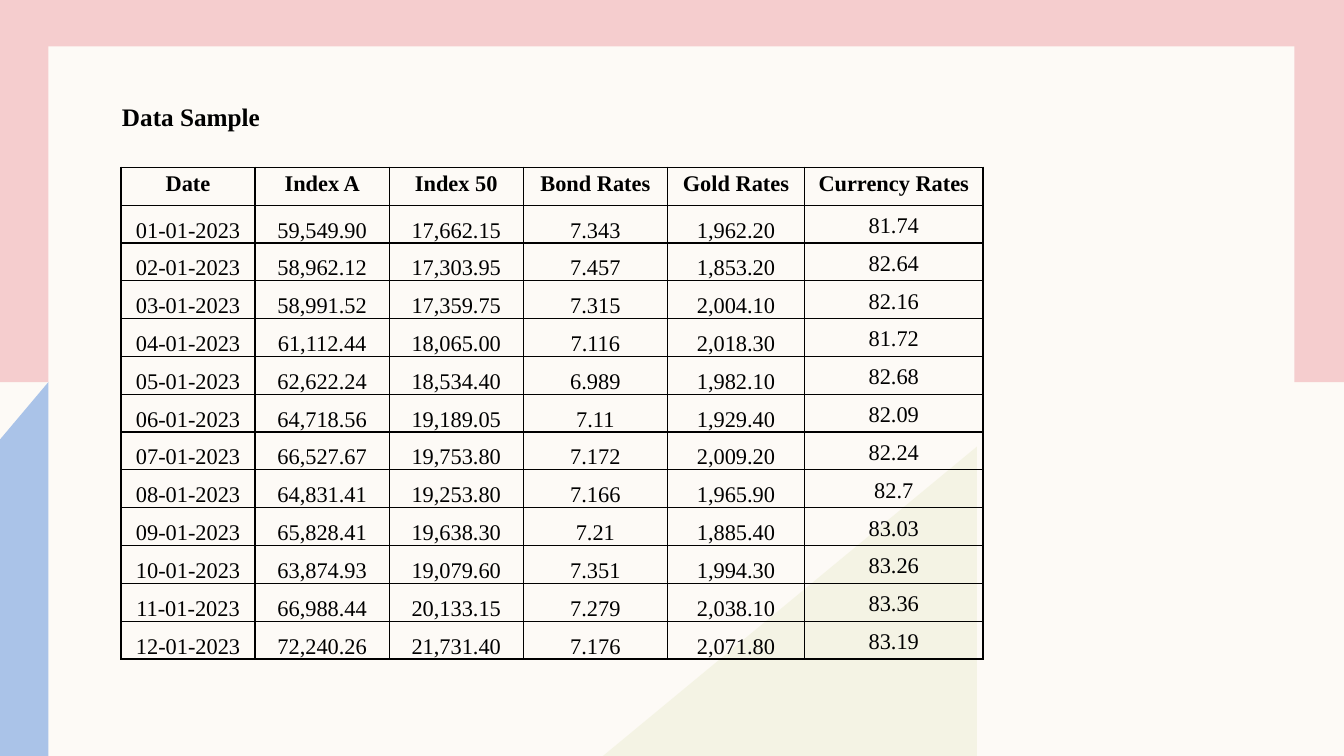
from dataclasses import dataclass

from lxml.etree import SubElement
from pptx import Presentation
from pptx.dml.color import RGBColor
from pptx.enum.shapes import MSO_SHAPE
from pptx.enum.text import MSO_ANCHOR, MSO_AUTO_SIZE, PP_ALIGN
from pptx.oxml.ns import qn
from pptx.util import Inches, Pt

TITLE = "Data Sample"
HEADERS = ("Date", "Index A", "Index 50", "Bond Rates", "Gold Rates", "Currency Rates")
ROWS = [
    ("01-01-2023", "59,549.90", "17,662.15", "7.343", "1,962.20", "81.74"),
    ("02-01-2023", "58,962.12", "17,303.95", "7.457", "1,853.20", "82.64"),
    ("03-01-2023", "58,991.52", "17,359.75", "7.315", "2,004.10", "82.16"),
    ("04-01-2023", "61,112.44", "18,065.00", "7.116", "2,018.30", "81.72"),
    ("05-01-2023", "62,622.24", "18,534.40", "6.989", "1,982.10", "82.68"),
    ("06-01-2023", "64,718.56", "19,189.05", "7.11", "1,929.40", "82.09"),
    ("07-01-2023", "66,527.67", "19,753.80", "7.172", "2,009.20", "82.24"),
    ("08-01-2023", "64,831.41", "19,253.80", "7.166", "1,965.90", "82.7"),
    ("09-01-2023", "65,828.41", "19,638.30", "7.21", "1,885.40", "83.03"),
    ("10-01-2023", "63,874.93", "19,079.60", "7.351", "1,994.30", "83.26"),
    ("11-01-2023", "66,988.44", "20,133.15", "7.279", "2,038.10", "83.36"),
    ("12-01-2023", "72,240.26", "21,731.40", "7.176", "2,071.80", "83.19"),
]

WIDTH, HEIGHT = 13.33, 7.5
BAND_BOTTOM = 3.79
PANEL = (0.48, 0.46, 12.36, 6.59)
TITLE_BOX = (1.11, 0.96, 2.14, 0.4)
TABLE_BOX = (1.2, 1.66, 8.56, 4.88)
COLUMN_WIDTHS = (1.33, 1.33, 1.33, 1.43, 1.36, 1.77)
GREEN_TRIANGLE = [(5.98, HEIGHT), (9.69, 4.43), (9.69, HEIGHT)]
BLUE_WEDGE = [(PANEL[0], BAND_BOTTOM), (PANEL[0], HEIGHT), (0, HEIGHT), (0, 4.36)]


@dataclass(frozen=True)
class Theme:
    font: str = "Times New Roman"
    ink: str = "000000"
    cream: str = "FDFAF6"
    pink: str = "F5CDCE"
    green: str = "EDEED3"
    blue: str = "AAC3E8"
    title_size: int = 18
    cell_size: int = 16
    border: int = 1


THEME = Theme()


def box(lengths):
    return [Inches(v) for v in lengths]


def paint(sp, color, alpha=None):
    sp.shadow.inherit = False
    sp.fill.solid()
    sp.fill.fore_color.rgb = RGBColor.from_string(color)
    sp.line.fill.background()
    if alpha is not None:
        clr = sp.element.spPr.find(qn("a:solidFill")).find(qn("a:srgbClr"))
        SubElement(clr, qn("a:alpha"), val=str(alpha * 1000))


def add_rect(s, lengths, color):
    paint(s.shapes.add_shape(MSO_SHAPE.RECTANGLE, *box(lengths)), color)


def add_polygon(s, points, color, alpha=None):
    start, *rest = [box(point) for point in points]
    builder = s.shapes.build_freeform(*start)
    builder.add_line_segments(rest, close=True)
    paint(builder.convert_to_shape(), color, alpha)


def add_run(p, text, size, bold):
    r = p.add_run()
    r.text = text
    r.font.name = THEME.font
    r.font.size = Pt(size)
    r.font.bold = bold
    r.font.color.rgb = RGBColor.from_string(THEME.ink)


def place_title(s):
    title = s.shapes.title
    title.left, title.top, title.width, title.height = box(TITLE_BOX)
    tf = title.text_frame
    tf.word_wrap = True
    tf.auto_size = MSO_AUTO_SIZE.SHAPE_TO_FIT_TEXT
    tf.vertical_anchor = MSO_ANCHOR.TOP
    p = tf.paragraphs[0]
    p.alignment = PP_ALIGN.LEFT
    add_run(p, TITLE, THEME.title_size, True)
    title.element.getparent().append(title.element)


def add_borders(cell):
    tc_pr = cell._tc.get_or_add_tcPr()
    for side in ("lnL", "lnR", "lnT", "lnB"):
        ln = SubElement(tc_pr, qn(f"a:{side}"), w=str(Pt(THEME.border)))
        fill = SubElement(ln, qn("a:solidFill"))
        SubElement(fill, qn("a:srgbClr"), val=THEME.ink)


def fill_cell(cell, text, anchor, bold):
    add_borders(cell)
    cell.fill.background()
    cell.margin_left = cell.margin_right = Inches(0.07)
    cell.margin_top = cell.margin_bottom = 0
    cell.vertical_anchor = anchor
    p = cell.text_frame.paragraphs[0]
    p.alignment = PP_ALIGN.CENTER
    p.line_spacing = 1.15
    p.space_after = Pt(8)
    add_run(p, text, THEME.cell_size, bold)


def add_rates_table(s):
    data = [HEADERS, *ROWS]
    table = s.shapes.add_table(len(data), len(HEADERS), *box(TABLE_BOX)).table
    table.first_row = table.horz_banding = False
    for column, width in zip(table.columns, COLUMN_WIDTHS):
        column.width = Inches(width)
    for i, values in enumerate(data):
        table.rows[i].height = Inches(TABLE_BOX[3] / len(data))
        for j, text in enumerate(values):
            if i == 0:
                anchor = MSO_ANCHOR.TOP
            elif j == len(HEADERS) - 1:
                anchor = MSO_ANCHOR.MIDDLE
            else:
                anchor = MSO_ANCHOR.BOTTOM
            fill_cell(table.cell(i, j), text, anchor, i == 0)


def main():
    prs = Presentation()
    prs.slide_width, prs.slide_height = box((WIDTH, HEIGHT))
    s = prs.slides.add_slide(prs.slide_layouts[5])
    s.background.fill.solid()
    s.background.fill.fore_color.rgb = RGBColor.from_string(THEME.cream)
    add_rect(s, (0, 0, WIDTH, BAND_BOTTOM), THEME.pink)
    add_rect(s, PANEL, THEME.cream)
    add_polygon(s, GREEN_TRIANGLE, THEME.green, 50)
    add_polygon(s, BLUE_WEDGE, THEME.blue)
    place_title(s)
    add_rates_table(s)
    prs.save("out.pptx")


if __name__ == "__main__":
    main()
